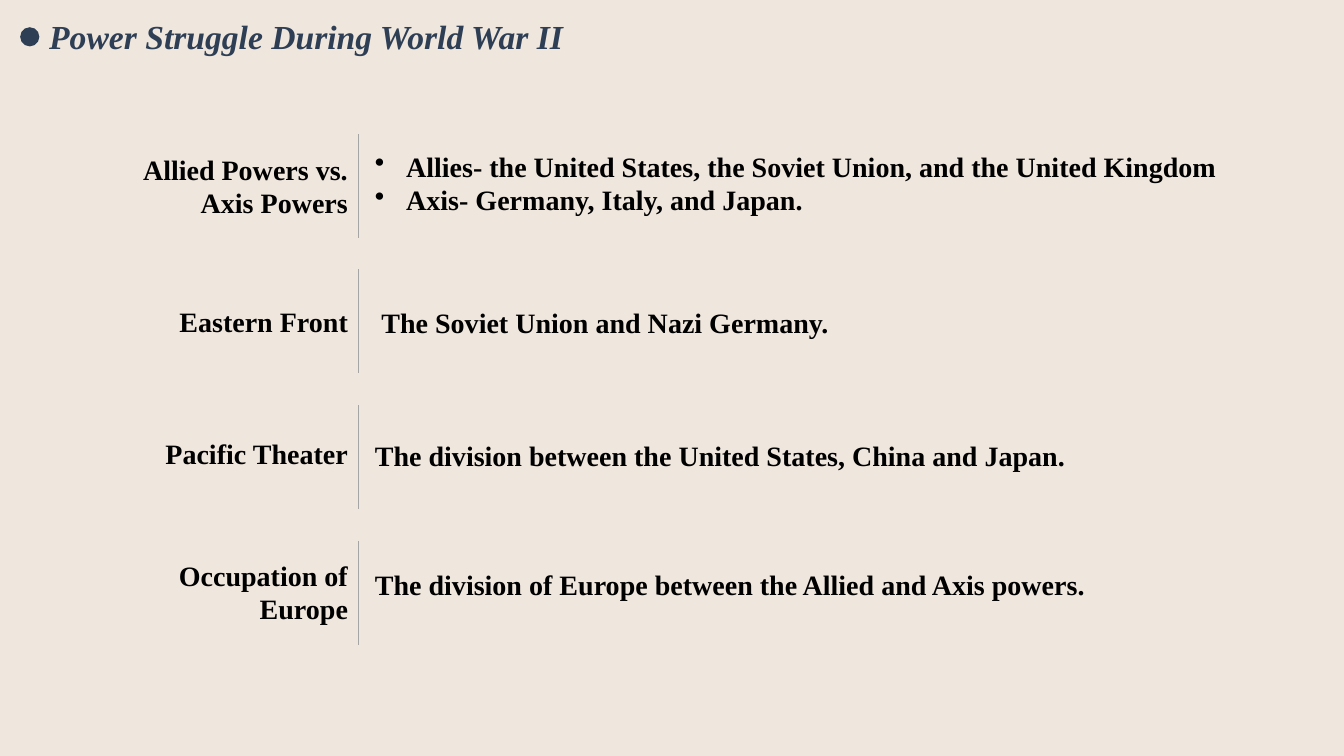
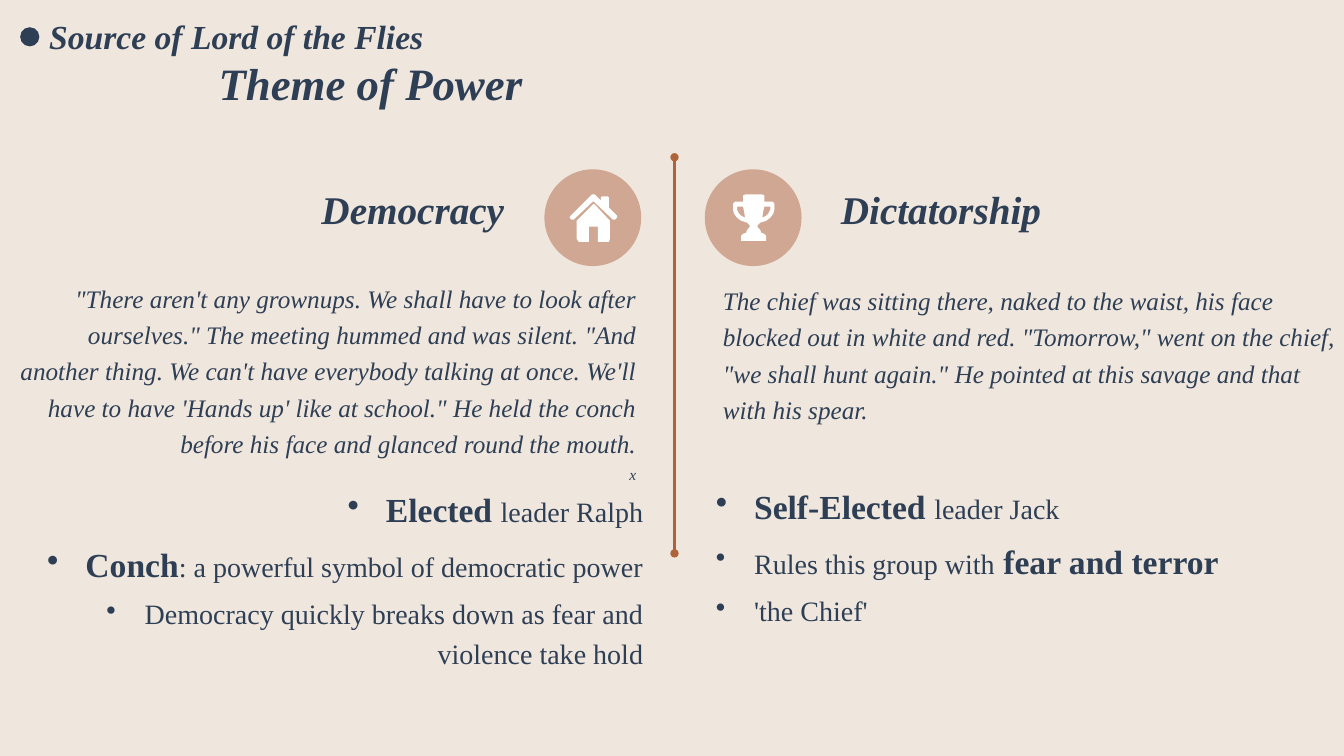
from lxml.etree import SubElement
from pptx import Presentation
from pptx.dml.color import RGBColor
from pptx.enum.shapes import MSO_CONNECTOR, MSO_SHAPE
from pptx.enum.text import MSO_AUTO_SIZE, PP_ALIGN
from pptx.oxml.ns import qn
from pptx.util import Pt

SCALE = 9144
NAVY, BLACK, WHITE = "2E3F55", "000000", "FFFFFF"
SAND, GRAY, RUST, CLAY = "EFE6DD", "A5A5A5", "AE6339", "D0A793"
LEFT, RIGHT = PP_ALIGN.LEFT, PP_ALIGN.RIGHT


def px(length):
    return length * SCALE


def color(value):
    return RGBColor.from_string(value)


class Page:
    """Holds the deck style and draws on the current slide."""

    font = "Times New Roman"

    def __init__(self, deck):
        self.deck = deck
        self.slide = None

    def start(self, title):
        self.slide = self.deck.slides.add_slide(self.deck.slide_layouts[6])
        background = self.slide.background.fill
        background.solid()
        background.fore_color.rgb = color(SAND)
        self.text((39, 11, 696, 50), [[(title, 24, "bi")]])
        self.circle(20, 27, 19, NAVY)

    def paint(self, shape, fill):
        shape.shadow.inherit = False
        shape.fill.solid()
        shape.fill.fore_color.rgb = color(fill)
        shape.line.fill.background()

    def circle(self, left, top, size, fill):
        shape = self.slide.shapes.add_shape(
            MSO_SHAPE.OVAL, px(left), px(top), px(size), px(size))
        self.paint(shape, fill)

    def icon(self, outlines, fill):
        first, *others = outlines
        builder = self.slide.shapes.build_freeform(*first[0], scale=SCALE)
        builder.add_line_segments(first[1:], close=True)
        for outline in others:
            builder.move_to(*outline[0])
            builder.add_line_segments(outline[1:], close=True)
        self.paint(builder.convert_to_shape(), fill)

    def divider(self, left, top, bottom, stroke, width, dots=False):
        connector = self.slide.shapes.add_connector(
            MSO_CONNECTOR.STRAIGHT, px(left), px(top), px(left), px(bottom))
        connector.line.color.rgb = color(stroke)
        connector.line.width = Pt(width)
        properties = connector.element.spPr
        if dots:
            for end in ("a:headEnd", "a:tailEnd"):
                SubElement(properties.find(qn("a:ln")), qn(end), type="oval")
        SubElement(properties, qn("a:effectLst"))

    def text(self, place, paragraphs, align=LEFT, ink=NAVY, airy=False, indent=0):
        box = self.slide.shapes.add_textbox(*map(px, place))
        frame = box.text_frame
        frame.word_wrap = True
        frame.auto_size = MSO_AUTO_SIZE.SHAPE_TO_FIT_TEXT
        if airy:
            frame.margin_left = frame.margin_right = 0
            frame.margin_top = frame.margin_bottom = 0
        for index, spans in enumerate(paragraphs):
            para = frame.add_paragraph() if index else frame.paragraphs[0]
            para.alignment = align
            properties = para._p.get_or_add_pPr()
            if airy:
                para.line_spacing = 1.2
                before = SubElement(properties, qn("a:spcBef"))
                SubElement(before, qn("a:spcPct"), val="20000")
            if indent:
                properties.set("marL", str(px(indent)))
                properties.set("indent", str(-px(indent)))
                SubElement(properties, qn("a:buChar"), char="•")
            for words, size, style in spans:
                span = para.add_run()
                span.text = words
                span.font.name = self.font
                span.font.size = Pt(size)
                span.font.bold = "b" in style
                span.font.italic = "i" in style
                span.font.color.rgb = color(ink)


def power_struggle(page):
    page.start("Power Struggle During World War II")
    rows = [
        ("Allied Powers vs. Axis Powers", 146, 143, 31,
         ["Allies- the United States, the Soviet Union, and the United Kingdom",
          "Axis- Germany, Italy, and Japan."]),
        ("Eastern Front", 297, 298, 0, [" The Soviet Union and Nazi Germany."]),
        ("Pacific Theater", 428, 430, 0,
         ["The division between the United States, China and Japan."]),
        ("Occupation of Europe", 549, 558, 0,
         ["The division of Europe between the Allied and Axis powers."]),
    ]
    for index, (label, label_top, body_top, indent, lines) in enumerate(rows):
        top = 133 + index * 404 // 3
        page.divider(355, top, top + 103, GRAY, 0.5)
        page.text((105, label_top, 250, 44), [[(label, 20, "b")]], RIGHT, BLACK)
        page.text((362, body_top, 942, 44), [[(line, 20, "b")] for line in lines],
                  ink=BLACK, indent=indent)


def house():
    roof = [(612, 214), (612, 216), (610, 218), (608, 218), (589, 200), (588, 200),
            (569, 218), (567, 218), (565, 216), (566, 214), (587, 193), (590, 193),
            (596, 199), (596, 196), (597, 195), (603, 195), (604, 196), (604, 206)]
    walls = [(605, 219), (605, 237), (604, 240), (593, 240), (593, 225), (584, 225),
             (584, 240), (574, 240), (572, 237), (572, 219), (589, 202)]
    return [roof, walls]


def trophy():
    side = [(756, 193), (758, 194), (758, 200), (766, 200), (768, 202), (768, 208),
            (767, 212), (764, 216), (760, 219), (754, 221), (751, 224), (752, 226),
            (754, 228), (755, 231), (758, 232), (760, 234), (760, 239)]
    handle = [(764, 205), (758, 205), (757, 210), (756, 216), (760, 214), (762, 212),
              (764, 208)]

    def mirror(points):
        return [(1495 - left, top) for left, top in reversed(points)]

    return [side + mirror(side), handle, mirror(handle)]


def theme_of_power(page):
    page.start("Source of Lord of the Flies")
    page.text((207, 50, 358, 64), [[("Theme of Power", 32, "bi")]])
    page.divider(669, 156, 549, RUST, 1.5, dots=True)
    columns = [
        ("Democracy", RIGHT, 540, house(), (116, 174, 384, 52),
         (14, 275, 617, 206),
         [[("\"There aren't any grownups. We shall have to look after ourselves.\" "
            "The meeting hummed and was silent. \"And another thing. We can't have "
            "everybody talking at once. We'll have to have 'Hands up' like at "
            "school.\" He held the conch before his face and glanced round the "
            "mouth.", 18, "i")],
          [("x", 11, "i")]],
         (14, 477, 624, 189),
         [[("Elected ", 24, "b"), ("leader Ralph", 20, "")],
          [("Conch", 24, "b"), (": a powerful symbol of democratic power", 20, "")],
          [("Democracy quickly breaks down as fear and violence take hold", 20, "")]]),
        ("Dictatorship", LEFT, 699, trophy(), (834, 174, 384, 52),
         (717, 277, 617, 185),
         [[("The chief was sitting there, naked to the waist, his face blocked out "
            "in white and red. \"Tomorrow,\" went on the chief, \"we shall hunt "
            "again.\" He pointed at this savage and that with his spear.", 18, "i")]],
         (710, 474, 624, 149),
         [[("Self-Elected ", 24, "b"), ("leader Jack", 20, "")],
          [("Rules this group with", 20, ""), (" fear and terror", 24, "b")],
          [("'the Chief'", 20, "")]]),
    ]
    for (heading, align, disc_left, outlines, heading_place,
         quote_place, quote, points_place, points) in columns:
        page.circle(disc_left, 168, 96, CLAY)
        page.icon(outlines, WHITE)
        page.text(heading_place, [[(heading, 28, "bi")]], align, airy=True)
        page.text(quote_place, quote, align, airy=True)
        page.text(points_place, points, align, airy=True, indent=38)


def main():
    deck = Presentation()
    deck.slide_width = px(1333)
    deck.slide_height = px(750)
    page = Page(deck)
    power_struggle(page)
    theme_of_power(page)
    deck.save("out.pptx")


if __name__ == "__main__":
    main()
